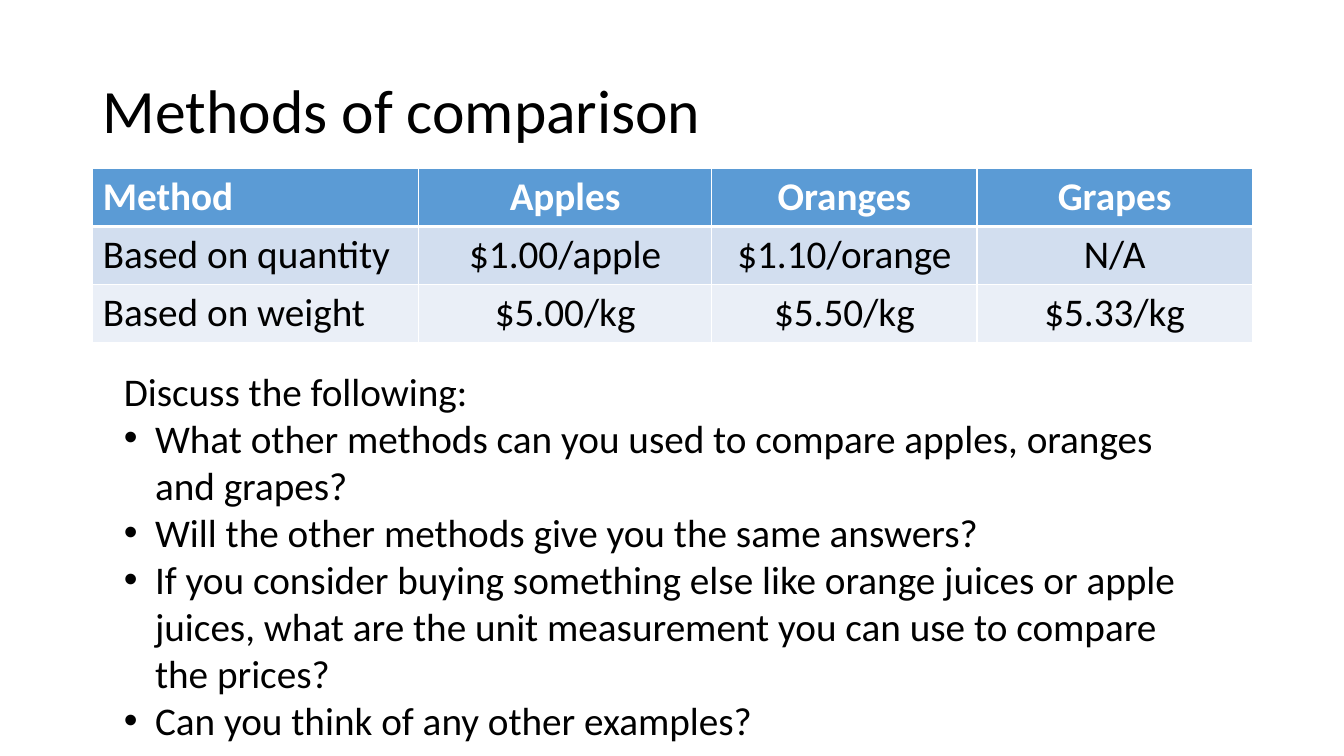
"""Build a slide that compares fruit prices and asks discussion questions."""
import lxml.etree
import pptx
import pptx.dml.color
import pptx.enum.text
import pptx.oxml.ns
import pptx.util

Inches = pptx.util.Inches
Align = pptx.enum.text.PP_ALIGN
Anchor = pptx.enum.text.MSO_ANCHOR
qn = pptx.oxml.ns.qn

PRICES = [
    ["Method", "Apples", "Oranges", "Grapes"],
    ["Based on quantity", "$1.00/apple", "$1.10/orange", "N/A"],
    ["Based on weight", "$5.00/kg", "$5.50/kg", "$5.33/kg"],
]
QUESTIONS = [
    "What other methods can you used to compare apples, oranges and grapes?",
    "Will the other methods give you the same answers?",
    "If you consider buying something else like orange juices or apple juices, "
    "what are the unit measurement you can use to compare the prices?",
    "Can you think of any other examples?",
]


def color(value):
    return pptx.dml.color.RGBColor.from_string(value)


def write(para, text, size=28, ink="000000", bold=False, align=Align.LEFT):
    para.alignment = align
    span = para.add_run()
    span.text = text
    span.font.name = "Calibri"
    span.font.size = pptx.util.Pt(size)
    span.font.bold = bold
    span.font.color.rgb = color(ink)


class Page:
    header_fill = "5B9BD5"
    band_fills = ["D2DEEF", "EAEFF7"]
    white = "FFFFFF"

    def __init__(self, deck):
        self.slide = deck.slides.add_slide(deck.slide_layouts[5])

    def title(self, text, left, top, width, height):
        box = self.slide.shapes.title
        box.left, box.top = Inches(left), Inches(top)
        box.width, box.height = Inches(width), Inches(height)
        box.text_frame.vertical_anchor = Anchor.MIDDLE
        para = box.text_frame.paragraphs[0]
        para.line_spacing = 0.9
        write(para, text, size=44)

    def border(self, cell, side, width):
        line = lxml.etree.SubElement(cell._tc.get_or_add_tcPr(), qn(f"a:ln{side}"))
        line.set("w", str(pptx.util.Pt(width)))
        fill = lxml.etree.SubElement(line, qn("a:solidFill"))
        lxml.etree.SubElement(fill, qn("a:srgbClr")).set("val", self.white)

    def table(self, rows, left, top, widths, row_height):
        frame = self.slide.shapes.add_table(
            len(rows), len(widths), Inches(left), Inches(top),
            Inches(sum(widths)), Inches(row_height * len(rows)))
        grid = frame.table
        for column, width in zip(grid.columns, widths):
            column.width = Inches(width)
        for row_index, row in enumerate(rows):
            grid.rows[row_index].height = Inches(row_height)
            header = row_index == 0
            fill = self.header_fill if header else self.band_fills[(row_index - 1) % 2]
            for column_index, text in enumerate(row):
                cell = grid.cell(row_index, column_index)
                for side in "LRTB":
                    under_header = (row_index, side) in [(0, "B"), (1, "T")]
                    self.border(cell, side, 3 if under_header else 1)
                cell.fill.solid()
                cell.fill.fore_color.rgb = color(fill)
                write(cell.text_frame.paragraphs[0], text, bold=header,
                      ink=self.white if header else "000000",
                      align=Align.CENTER if column_index else Align.LEFT)

    def bullet(self, para, indent):
        properties = para._p.get_or_add_pPr()
        properties.set("marL", str(Inches(indent)))
        properties.set("indent", str(-Inches(indent)))
        font = lxml.etree.SubElement(properties, qn("a:buFont"))
        font.set("typeface", "Arial")
        lxml.etree.SubElement(properties, qn("a:buChar")).set("char", "•")

    def discussion(self, heading, questions, left, top, width, height):
        box = self.slide.shapes.add_textbox(
            Inches(left), Inches(top), Inches(width), Inches(height))
        frame = box.text_frame
        frame.word_wrap = True
        frame.auto_size = pptx.enum.text.MSO_AUTO_SIZE.SHAPE_TO_FIT_TEXT
        write(frame.paragraphs[0], heading)
        for question in questions:
            para = frame.add_paragraph()
            self.bullet(para, 0.31)
            write(para, question)


def main():
    deck = pptx.Presentation()
    deck.slide_width, deck.slide_height = Inches(13.33), Inches(7.5)
    page = Page(deck)
    page.title("Methods of comparison", 0.92, 0.4, 11.5, 1.45)
    page.table(PRICES, 0.92, 1.67, [3.23, 2.91, 2.63, 2.73], 0.57)
    page.discussion("Discuss the following:", QUESTIONS, 1.13, 3.59, 10.93, 3.87)
    deck.save("out.pptx")


if __name__ == "__main__":
    main()
